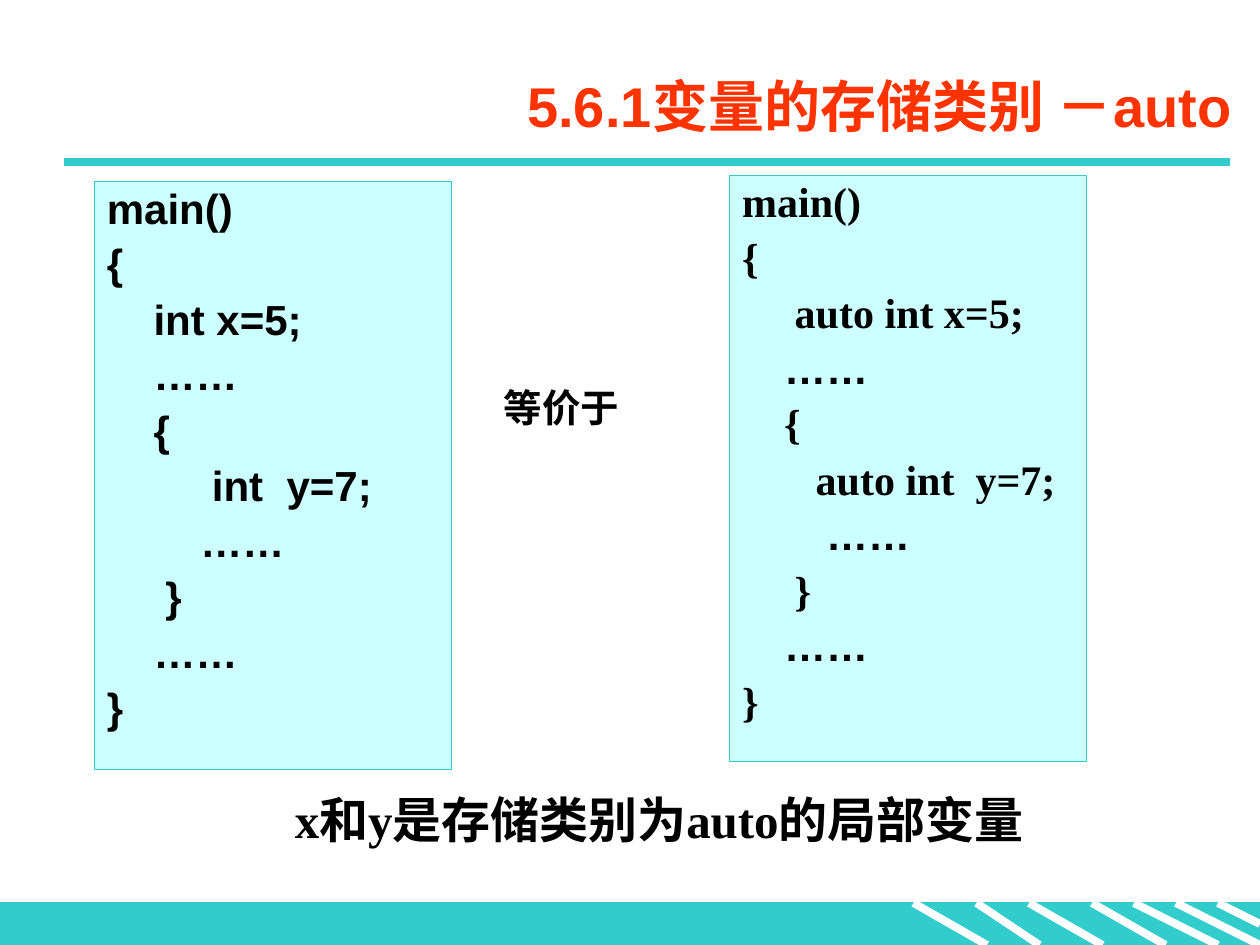
import pptx
import pptx.dml.color
import pptx.enum.shapes
import pptx.enum.text
import pptx.oxml.ns
import pptx.util
import lxml.etree

ANCHOR = pptx.enum.text.MSO_ANCHOR
ALIGN = pptx.enum.text.PP_ALIGN
WIDTH, HEIGHT = 10, 7.5
COLUMNS, ROWS = 120, 90


def color(value):
    return pptx.dml.color.RGBColor.from_string(value)


class SlideBuilder:
    teal, pale, white, ink, accent = "33CCCC", "CCFFFF", "FFFFFF", "000000", "FF3300"
    sans, serif = "Arial", "Times New Roman"
    space_share = {"Arial": 0.278, "Times New Roman": 0.25}

    def __init__(self, deck):
        self.page = deck.slides.add_slide(deck.slide_layouts[5])

    def place(self, column, row):
        return (pptx.util.Inches(column * WIDTH / COLUMNS),
                pptx.util.Inches(row * HEIGHT / ROWS))

    def area(self, left, top, width, height):
        return self.place(left, top) + self.place(width, height)

    def add_span(self, para, text, font, size, ink):
        span = para.add_run()
        span.text = text
        span.font.name = font
        span.font.size = pptx.util.Pt(size)
        span.font.bold = True
        span.font.color.rgb = color(ink)

    def title(self, area, text):
        box = self.page.shapes.title
        box.left, box.top, box.width, box.height = self.area(*area)
        box.text_frame.vertical_anchor = ANCHOR.MIDDLE
        box.text_frame.auto_size = pptx.enum.text.MSO_AUTO_SIZE.NONE
        para = box.text_frame.paragraphs[0]
        para.alignment = ALIGN.RIGHT
        self.add_span(para, text, self.sans, 32, self.accent)

    def panel(self, area, fill):
        box = self.page.shapes.add_shape(
            pptx.enum.shapes.MSO_SHAPE.RECTANGLE, *self.area(*area))
        box.shadow.inherit = False
        box.fill.solid()
        box.fill.fore_color.rgb = color(fill)
        box.line.color.rgb = color(self.teal)
        box.line.width = pptx.util.Pt(0.75)
        return box

    def stroke(self, start, end, ink):
        line = self.page.shapes.add_connector(
            pptx.enum.shapes.MSO_CONNECTOR.STRAIGHT,
            *self.place(*start), *self.place(*end))
        line.line.color.rgb = color(ink)
        line.line.width = pptx.util.Pt(4.5)
        lxml.etree.SubElement(line._element.spPr, pptx.oxml.ns.qn("a:effectLst"))

    def code(self, area, font, lines, size=24):
        frame = self.panel(area, self.pale).text_frame
        frame.word_wrap = True
        frame.vertical_anchor = ANCHOR.TOP
        for index, (depth, text) in enumerate(lines):
            para = frame.add_paragraph() if index else frame.paragraphs[0]
            para.alignment = ALIGN.LEFT
            para.line_spacing = 0.9
            para.space_before = pptx.util.Pt(5.8)
            indent = pptx.util.Pt(depth * size * self.space_share[font])
            para._p.get_or_add_pPr().set("marL", str(indent))
            self.add_span(para, text, self.sans if text == "……" else font, size, self.ink)

    def label(self, area, text, size):
        box = self.page.shapes.add_textbox(*self.area(*area))
        box.text_frame.word_wrap = True
        para = box.text_frame.paragraphs[0]
        para.line_spacing = 0.9
        self.add_span(para, text, self.serif, size, self.ink)


deck = pptx.Presentation()
deck.slide_width = pptx.util.Inches(WIDTH)
deck.slide_height = pptx.util.Inches(HEIGHT)
slide = SlideBuilder(deck)

slide.panel((0, 86, 120, 4), slide.teal)
hatching = [(87, 94, 90), (93, 99, 90), (98, 105, 90), (104, 111, 90),
            (108, 116, 90), (112, 120, 90), (116, 120, 88)]
for start, end, bottom in hatching:
    slide.stroke((start, 86), (end, bottom), slide.white)
slide.stroke((6.1, 15.45), (117.1, 15.45), slide.teal)

slide.title((16.5, 5.3, 102, 9.5), "5.6.1变量的存储类别 －auto")
slide.code((9, 17.3, 34, 56), slide.sans, [
    (0, "main()"), (0, "{"), (4, "int x=5;"), (4, "……"), (4, "{"),
    (9, "int  y=7;"), (8, "……"), (5, "}"), (4, "……"), (0, "}")])
slide.code((69.5, 16.7, 34, 55.8), slide.serif, [
    (0, "main()"), (0, "{"), (5, "auto int x=5;"), (4, "……"), (4, "{"),
    (7, "auto int  y=7;"), (8, "……"), (5, "}"), (4, "……"), (0, "}")])
slide.label((46.8, 36.5, 18.8, 5.2), "等价于", 22)
slide.label((26.9, 75.2, 79.3, 6.2), "x和y是存储类别为auto的局部变量", 28)

deck.save("out.pptx")
